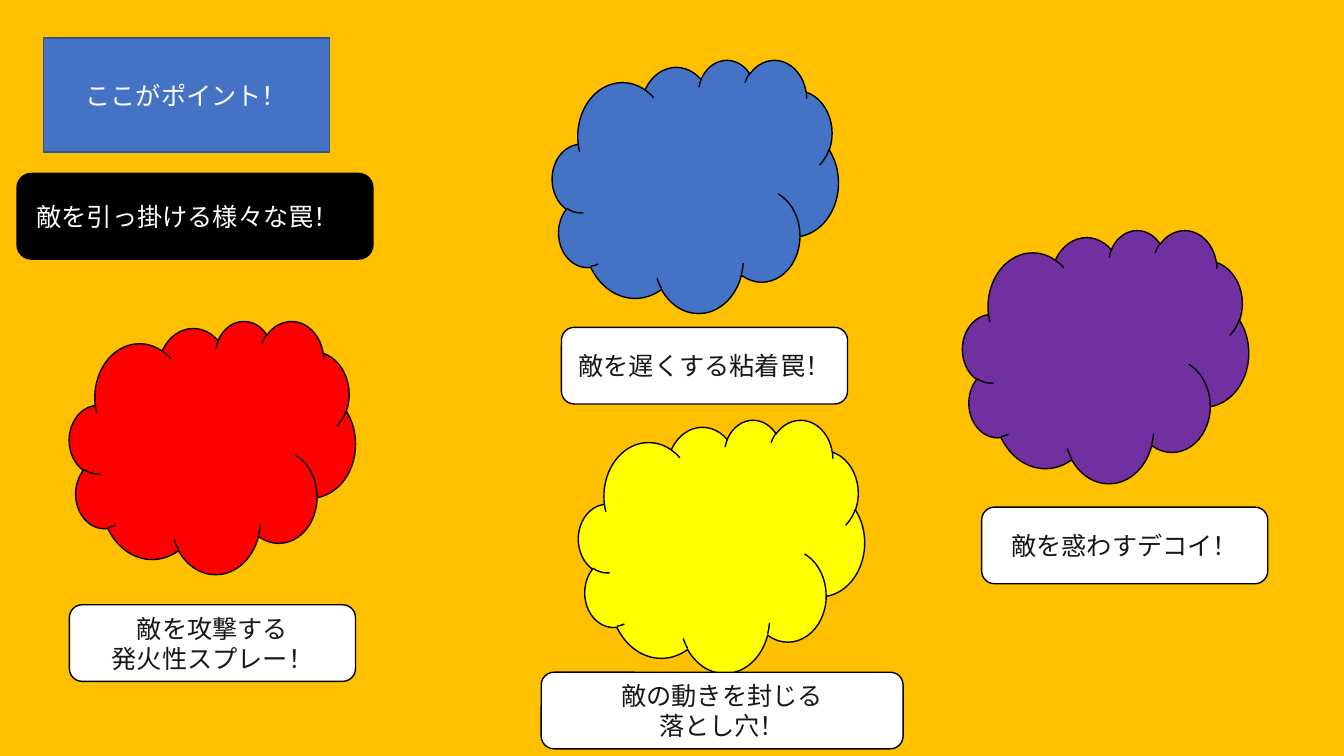
from pptx import Presentation
from pptx.dml.color import RGBColor
from pptx.enum.shapes import MSO_SHAPE as SHAPE
from pptx.enum.text import MSO_ANCHOR as ANCHOR, MSO_AUTO_SIZE as AUTO, PP_ALIGN as ALIGN
from pptx.util import Cm, Pt

AMBER = RGBColor(0xFF, 0xC0, 0x00)
BLUE = RGBColor(0x44, 0x72, 0xC4)
NAVY = RGBColor(0x32, 0x54, 0x91)
YELLOW = RGBColor(0xFF, 0xFF, 0x00)
PURPLE = RGBColor(0x70, 0x30, 0xA0)
RED = RGBColor(0xFF, 0x00, 0x00)
BLACK = RGBColor(0x00, 0x00, 0x00)
WHITE = RGBColor(0xFF, 0xFF, 0xFF)
INK = RGBColor(0x18, 0x17, 0x17)

TITLE = "ここがポイント！"
SUBTITLE = "敵を引っ掛ける様々な罠！"
CARD_W, CLOUD_H, LABEL_H = 7.21, 6.38, 1.93
TRAPS = [
    (BLUE, (13.92, 1.5), ["敵を遅くする粘着罠！"], (14.15, 8.25, CARD_W)),
    (YELLOW, (14.58, 10.57), ["敵の動きを封じる", "落とし穴！"], (13.64, 16.94, 9.12)),
    (PURPLE, (24.26, 5.79), ["敵を惑わすデコイ！"], (24.74, 12.78, CARD_W)),
    (RED, (1.75, 8.08), ["敵を攻撃する", "発火性スプレー！"], (1.75, 15.24, CARD_W)),
]


def paint(sp, fill, line):
    sp.fill.solid()
    sp.fill.fore_color.rgb = fill
    sp.line.color.rgb = line
    sp.line.width = Pt(1)


def add_shape(shapes, kind, box, fill):
    sp = shapes.add_shape(kind, *map(Cm, box))
    sp.shadow.inherit = False
    paint(sp, fill, BLACK)
    return sp


def write(sp, lines, color, align=ALIGN.CENTER, anchor=ANCHOR.MIDDLE):
    tf = sp.text_frame
    tf.word_wrap = True
    tf.auto_size = AUTO.NONE
    tf.vertical_anchor = anchor
    for i, line in enumerate(lines):
        p = tf.add_paragraph() if i else tf.paragraphs[0]
        p.alignment = align
        r = p.add_run()
        r.text = line
        r.font.size = Pt(18)
        r.font.name = "Calibri"
        r.font.color.rgb = color


prs = Presentation()
prs.slide_width, prs.slide_height = Cm(33.87), Cm(19.05)
s = prs.slides.add_slide(prs.slide_layouts[5])
s.background.fill.solid()
s.background.fill.fore_color.rgb = AMBER

title = s.shapes.title
title.left, title.top, title.width, title.height = map(Cm, (1.09, 0.96, CARD_W, 2.87))
paint(title, BLUE, NAVY)
write(title, [TITLE], WHITE)

banner = s.shapes.add_group_shape()
add_shape(banner.shapes, SHAPE.ROUNDED_RECTANGLE, (0.43, 4.37, 8.97, 2.16), BLACK)
caption = banner.shapes.add_textbox(*map(Cm, (0.67, 4.95, 8.51, 1.02)))
write(caption, [SUBTITLE], WHITE, ALIGN.LEFT, ANCHOR.TOP)

for color, (x, y), _, _ in TRAPS:
    add_shape(s.shapes, SHAPE.CLOUD, (x, y, CARD_W, CLOUD_H), color)
for _, _, lines, (x, y, w) in TRAPS:
    label = add_shape(s.shapes, SHAPE.ROUNDED_RECTANGLE, (x, y, w, LABEL_H), WHITE)
    write(label, lines, INK)

prs.save("out.pptx")
